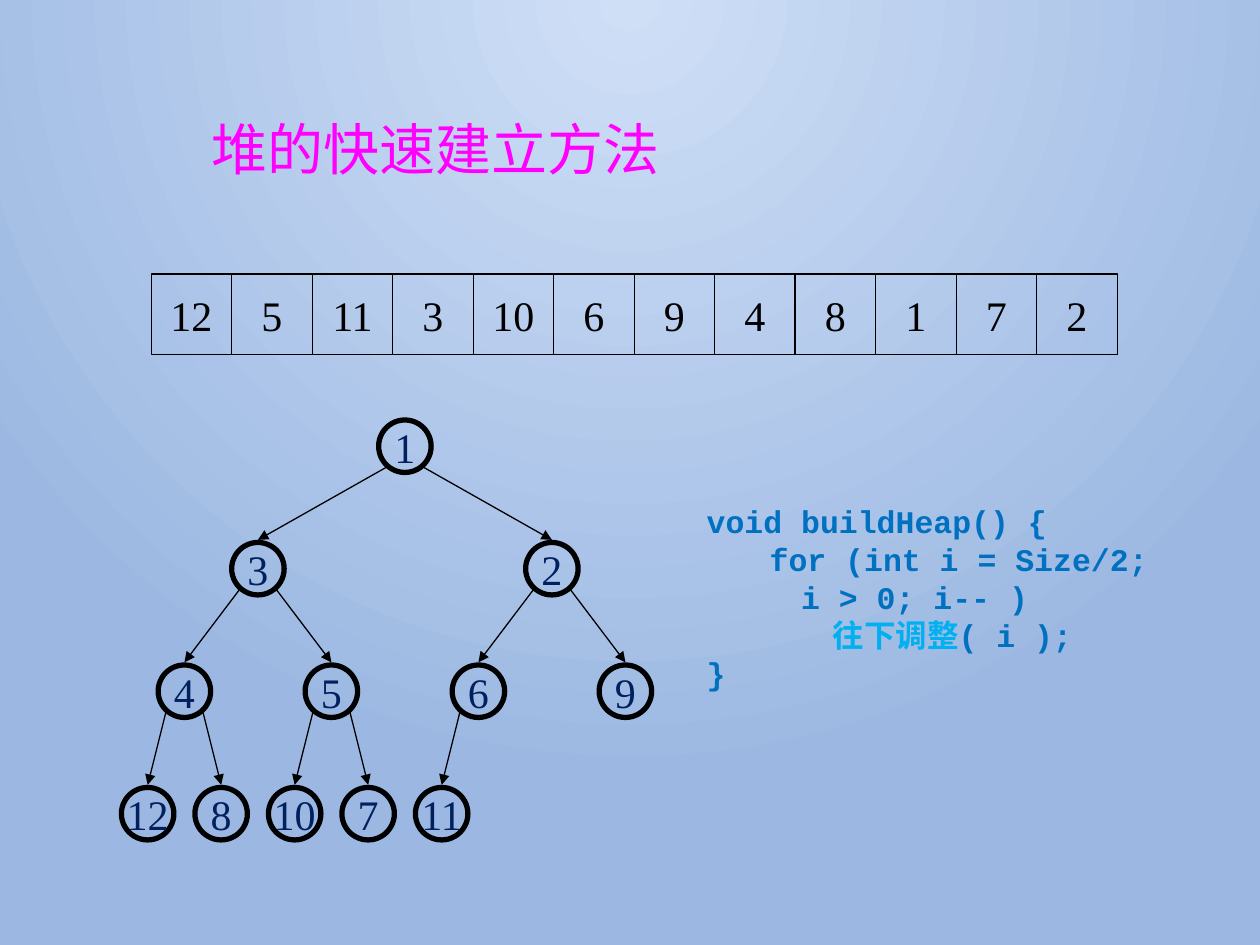
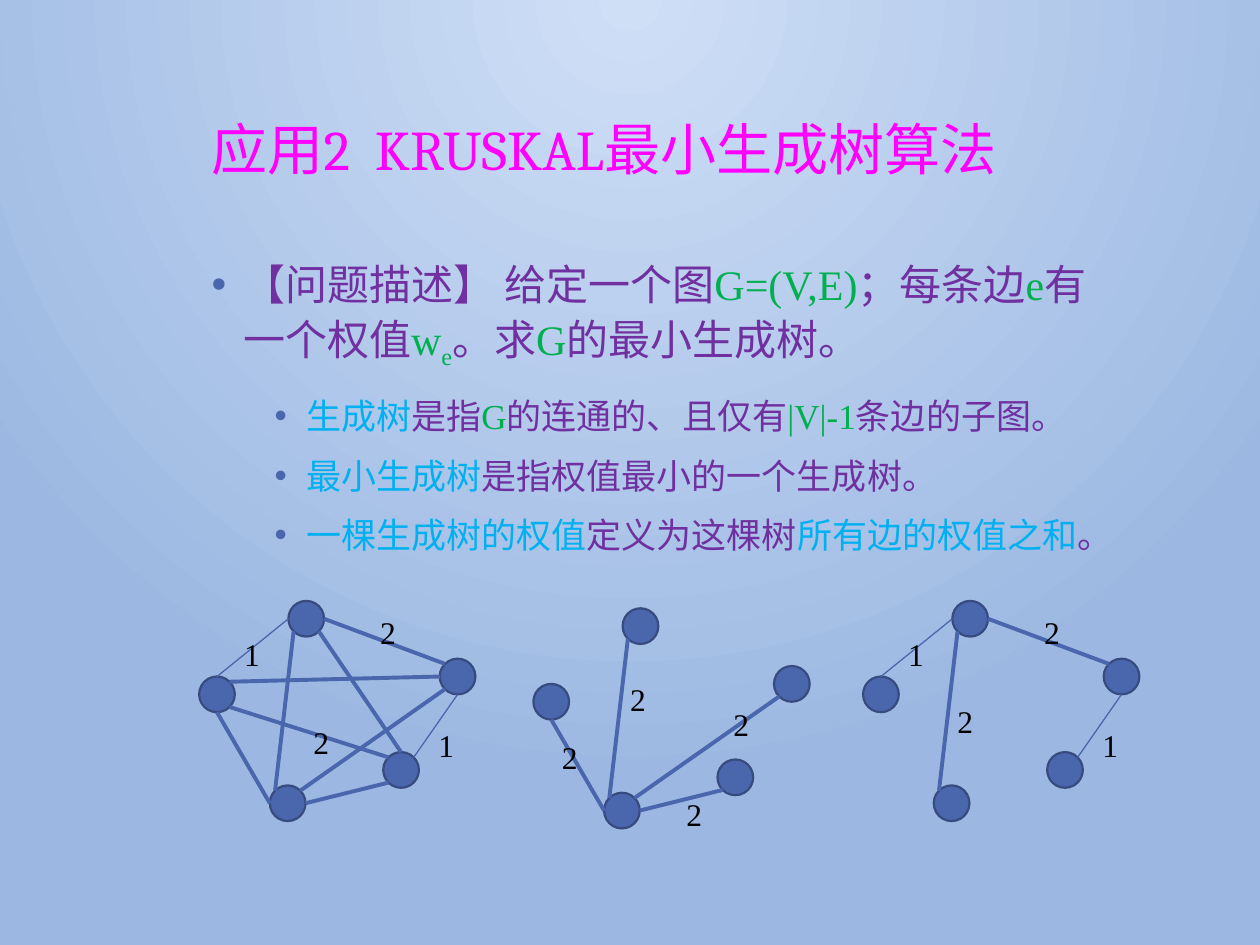
from lxml import etree
from pptx import Presentation
from pptx.dml.color import RGBColor
from pptx.enum import shapes, text
from pptx.oxml import ns
from pptx.util import Pt

# Shared look
COLOURS = {
    "glow": "CFDFF6", "sky": "9CB8E2", "title": "FF00FF", "ink": "000000",
    "key": "002060", "code": "0070C0", "term": "00B0F0", "prose": "7030A0",
    "math": "00B050", "vertex": "4A66AC", "rim": "374B7F",
}
SERIF, HEADING, MONO, CJK = "Times New Roman", "Cambria", "Courier New", "Noto Sans CJK SC"

# Heap slide content
HEAP_TITLE = [("堆的快速建立方法", CJK)]
ARRAY = [12, 5, 11, 3, 10, 6, 9, 4, 8, 1, 7, 2]
HEAP = [1, 3, 2, 4, 5, 6, 9, 12, 8, 10, 7, 11]
CODE = [  # indent, runs
    (0, [("void buildHeap() {", "code")]),
    (36, [("for (int i = Size/2;", "code")]),
    (54, [("i > 0; i-- )", "code")]),
    (72, [("往下调整", "term"), ("( i );", "code")]),
    (0, [("}", "code")]),
]

# Spanning tree slide content
KRUSKAL_TITLE = [("应用2  KRUSKAL", HEADING), ("最小生成树", CJK), ("算法", HEADING)]
PROBLEM = [  # level, space before, runs
    (0, 10, [("【问题描述】 给定一个图", "prose"), ("G=(V,E)", "math"), ("；每条边", "prose"),
             ("e", "math"), ("有一个权值", "prose"), ("w", "math"), ("e", "math", -25),
             ("。求", "prose"), ("G", "math"), ("的最小生成树。", "prose")]),
    (1, 8.5, [("生成树", "term"), ("是指", "prose"), ("G", "math"),
              ("的连通的、且仅有", "prose"), ("|V|-1", "math"), ("条边的子图。", "prose")]),
    (1, 5, [("最小生成树", "term"), ("是指权值最小的一个生成树。", "prose")]),
    (1, 5, [("一棵生成树的权值", "term"), ("定义为这棵树", "prose"),
            ("所有边的权值之和", "term"), ("。", "prose")]),
]
LEVELS = [  # size, left margin, line height
    (24, 18, 35.4),
    (20, 54, 29.1),
]
VERTICES = {"A": (175, 353.6), "B": (124, 396.8), "C": (164.4, 459),
            "D": (229.2, 440), "E": (261.5, 386.6)}
EDGES = {  # the side each edge leaves from and arrives at, line width
    "BE": ("NE", "W", 2.25), "BD": ("SE", "NW", 2.25), "CA": ("NW", "SW", 2.25),
    "DA": ("N", "SE", 2.25), "CE": ("NE", "SW", 2.25), "BA": ("N", "W", 0.75),
    "AE": ("E", "NW", 2.25), "ED": ("S", "NE", 0.75), "DC": ("SW", "E", 2.25),
    "CB": ("W", "S", 2.25),
}
OUTER_WEIGHTS = [("1", 132.5, 359.3), ("2", 210.2, 347), ("1", 243.4, 411.1)]
GRAPHS = [  # offset, edges, weights
    ((0, 0), list(EDGES), OUTER_WEIGHTS + [("2", 172, 409.7)]),
    ((379.4, 0), ["CA", "BA", "AE", "ED"], OUTER_WEIGHTS + [("2", 160.6, 397.4)]),
    ((191, 4.2), ["CA", "CE", "DC", "CB"],
     [("2", 123, 414.1), ("2", 162, 381), ("2", 221, 395.4), ("2", 194.2, 446.5)]),
]
VERTEX_RADIUS = 10.2
DIAGONAL = 0.707
SIDES = {"N": (0, -1), "S": (0, 1), "W": (-1, 0), "E": (1, 0),
         "NW": (-DIAGONAL, -DIAGONAL), "NE": (DIAGONAL, -DIAGONAL),
         "SW": (-DIAGONAL, DIAGONAL), "SE": (DIAGONAL, DIAGONAL)}


def rgb(name):
    return RGBColor.from_string(COLOURS[name])


def add_xml(parent, tag, **attributes):
    return etree.SubElement(parent, ns.qn(tag), attributes)


def add_run(paragraph, words, colour, size, font, bold=None, baseline=0):
    run = paragraph.add_run()
    run.text = words
    run.font.name, run.font.size, run.font.bold = font, Pt(size), bold
    run.font.color.rgb = rgb(colour)
    properties = run.font._element
    add_xml(properties, "a:ea", typeface=CJK)
    if baseline:
        properties.set("baseline", str(baseline * 1000))


def add_text(slide, left, top, width, height, wrap=True):
    frame = slide.shapes.add_textbox(Pt(left), Pt(top), Pt(width), Pt(height)).text_frame
    frame.word_wrap = wrap
    return frame


def next_paragraph(frame, index):
    return frame.add_paragraph() if index else frame.paragraphs[0]


def add_outline(slide, kind, left, top, size, line, width, fill=None):
    outline = slide.shapes.add_shape(kind, Pt(left), Pt(top), Pt(size), Pt(size))
    outline.shadow.inherit = False
    if fill:
        outline.fill.solid()
        outline.fill.fore_color.rgb = rgb(fill)
    else:
        outline.fill.background()
    outline.line.color.rgb = rgb(line)
    outline.line.width = Pt(width)
    return outline


def add_number(outline, number, colour):
    frame = outline.text_frame
    frame.word_wrap = False
    frame.vertical_anchor = text.MSO_ANCHOR.MIDDLE
    frame.paragraphs[0].alignment = text.PP_ALIGN.CENTER
    add_run(frame.paragraphs[0], str(number), colour, 24, SERIF)


def add_line(slide, start, end, colour, width, arrow=False):
    line = slide.shapes.add_connector(
        shapes.MSO_CONNECTOR.STRAIGHT, *(Pt(value) for value in (*start, *end)))
    line.line.color.rgb = rgb(colour)
    line.line.width = Pt(width)
    if arrow:
        add_xml(line.line._get_or_add_ln(), "a:tailEnd", type="triangle")
    add_xml(line._element.spPr, "a:effectLst")


def new_slide(deck, title):
    slide = deck.slides.add_slide(deck.slide_layouts[6])
    # Radial glow from the top centre
    fill = slide.background.fill
    fill.gradient()
    for stop, position, colour in zip(fill.gradient_stops, (0, 1), ("glow", "sky")):
        stop.position = position
        stop.color.rgb = rgb(colour)
    gradient = slide._element.find(".//" + ns.qn("a:gradFill"))
    gradient.remove(gradient.find(ns.qn("a:lin")))
    glow = add_xml(gradient, "a:path", path="circle")
    add_xml(glow, "a:fillToRect", l="43000", t="0", r="43000", b="100000")
    # Title
    heading = add_text(slide, 113.8, 63.4, 517.7, 82.8).paragraphs[0]
    heading.line_spacing = Pt(37)
    for words, font in title:
        add_run(heading, words, "title", 32, font)
    return slide


def build_heap(deck):
    slide = new_slide(deck, HEAP_TITLE)

    # Unsorted array
    cell = 46
    for index, number in enumerate(ARRAY):
        box = add_outline(slide, shapes.MSO_SHAPE.RECTANGLE,
                          86.4 + index * cell, 156.6, cell, "ink", 0.75)
        add_number(box, number, "ink")

    # Heap as a binary tree: node n has children 2n and 2n + 1
    diameter, leaf_gap, level_gap, depth = 30, 42, 70, 3
    centres = {}
    for node, number in enumerate(HEAP, 1):
        level = node.bit_length() - 1
        gap = leaf_gap * 2 ** (depth - level)
        x = 63.4 + gap * (node - 2 ** level + 0.5)
        y = 255 + level_gap * level
        centres[node] = x, y
        circle = add_outline(slide, shapes.MSO_SHAPE.OVAL,
                             x - diameter / 2, y - diameter / 2, diameter, "ink", 3)
        add_number(circle, number, "key")
    for node in range(2, len(HEAP) + 1):
        parent_x, parent_y = centres[node // 2]
        x, y = centres[node]
        side = 10.6 if node % 2 else -10.6
        add_line(slide, (parent_x + side, parent_y + 12), (x, y - 16.5), "ink", 0.75, arrow=True)

    # Code
    frame = add_text(slide, 396.7, 283, 298.8, 116.6)
    for index, (indent, runs) in enumerate(CODE):
        line = next_paragraph(frame, index)
        line.line_spacing = Pt(21.75)
        line._p.get_or_add_pPr().set("marL", str(Pt(indent)))
        for words, colour in runs:
            add_run(line, words, colour, 18, MONO, bold=True)


def add_graph(slide, offset, edges, weights):
    dx, dy = offset
    for x, y in VERTICES.values():
        add_outline(slide, shapes.MSO_SHAPE.OVAL, x + dx - VERTEX_RADIUS,
                    y + dy - VERTEX_RADIUS, 2 * VERTEX_RADIUS, "rim", 1.25, "vertex")
    for edge in edges:
        *sides, width = EDGES[edge]
        start, end = [
            (VERTICES[vertex][0] + dx + VERTEX_RADIUS * SIDES[side][0],
             VERTICES[vertex][1] + dy + VERTEX_RADIUS * SIDES[side][1])
            for vertex, side in zip(edge, sides)]
        add_line(slide, start, end, "vertex", width)
    for weight, x, y in weights:
        label = add_text(slide, x + dx, y + dy, 19.4, 23.8, wrap=False)
        add_run(label.paragraphs[0], weight, "ink", 18, SERIF)


def build_kruskal(deck):
    slide = new_slide(deck, KRUSKAL_TITLE)

    # Problem statement
    frame = add_text(slide, 113.8, 137.5, 517.7, 271.4)
    for index, (level, space, runs) in enumerate(PROBLEM):
        size, margin, height = LEVELS[level]
        item = next_paragraph(frame, index)
        item.level = level
        item.line_spacing, item.space_before = Pt(height), Pt(space)
        properties = item._p.get_or_add_pPr()
        properties.set("marL", str(Pt(margin)))
        properties.set("indent", str(Pt(-18)))
        add_xml(add_xml(properties, "a:buClr"), "a:srgbClr", val=COLOURS["vertex"])
        add_xml(properties, "a:buFont", typeface="Arial")
        add_xml(properties, "a:buChar", char="•")
        for words, colour, *baseline in runs:
            add_run(item, words, colour, size, SERIF, baseline=sum(baseline))

    # A graph and two of its spanning trees
    for graph in GRAPHS:
        add_graph(slide, *graph)


def main():
    deck = Presentation()
    deck.slide_width, deck.slide_height = Pt(720), Pt(540)
    build_heap(deck)
    build_kruskal(deck)
    deck.save("out.pptx")


if __name__ == "__main__":
    main()
